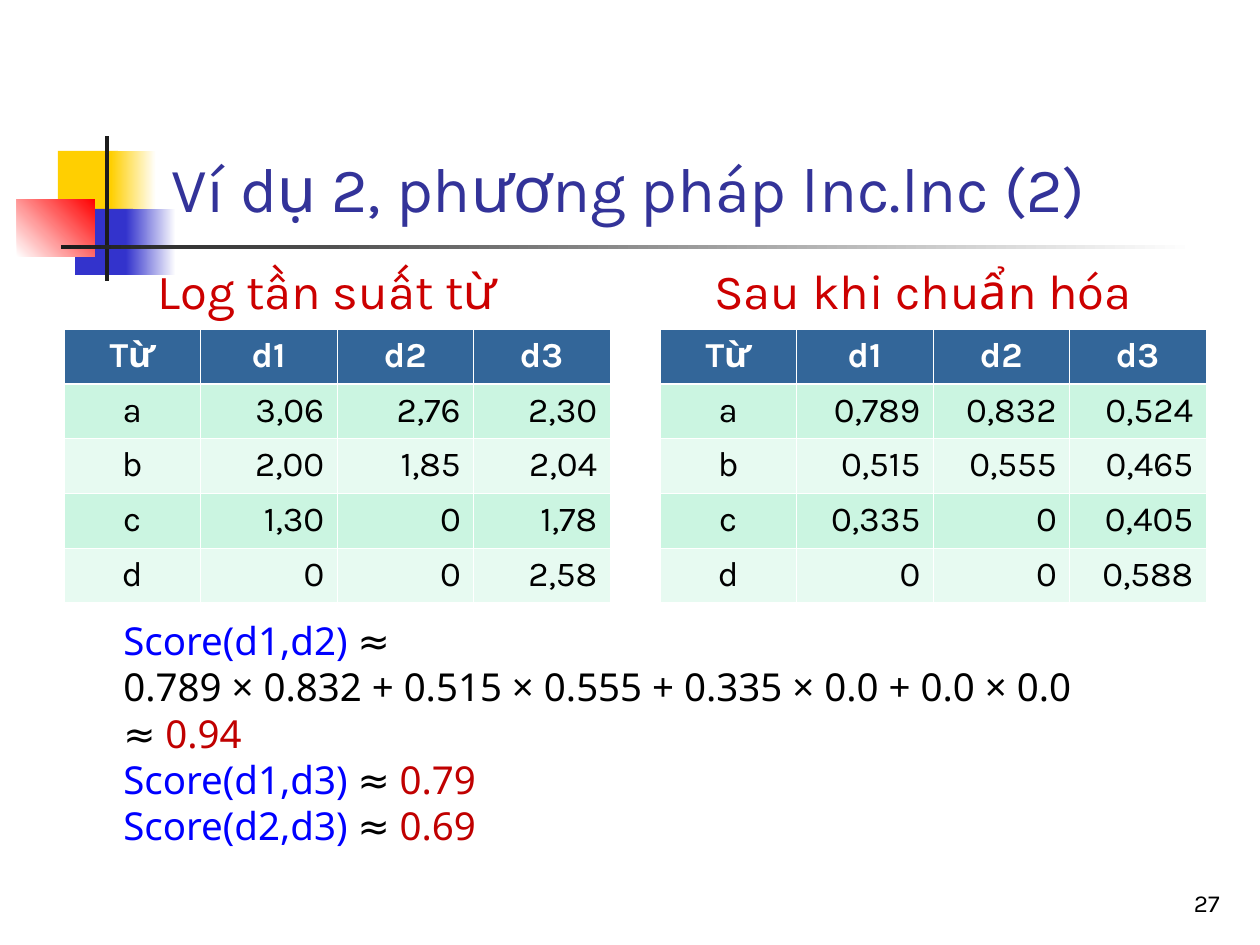
from dataclasses import dataclass

from lxml import etree
from pptx import Presentation
from pptx import util as u
from pptx.dml.color import RGBColor
from pptx.enum import shapes, text
from pptx.oxml.ns import qn

EMU_PER_PX = 914400 / 126
LEFT, CENTER, RIGHT = text.PP_ALIGN.LEFT, text.PP_ALIGN.CENTER, text.PP_ALIGN.RIGHT


@dataclass(frozen=True)
class Theme:
    font: str = "Karla"
    formula_font: str = "Noto Sans"
    title_size: int = 36
    caption_size: int = 28
    formula_size: int = 22
    cell_size: int = 20
    number_size: int = 14
    title: str = "333399"
    caption: str = "CC0000"
    ink: str = "000000"
    white: str = "FFFFFF"
    score: str = "0000FF"
    result: str = "C00000"
    header: str = "336699"
    bands: tuple = ("CBF5E1", "E7FAF1")
    yellow: str = "FFCF01"
    blue: str = "3333CC"
    red: str = "FF0000"
    bar: str = "1C1C1C"


THEME = Theme()


def px(length):
    return u.Emu(round(length * EMU_PER_PX))


def rgb(color):
    return RGBColor.from_string(color)


def write(paragraph, content, *, size, color=THEME.ink, font=THEME.font, bold=False,
          align=LEFT, before=None, spacing=None):
    """Append one formatted run to the paragraph."""
    paragraph.alignment = align
    paragraph.space_before = before
    paragraph.line_spacing = spacing
    run = paragraph.add_run()
    run.text = content
    run.font.size = u.Pt(size)
    run.font.name = font
    run.font.bold = bold
    run.font.color.rgb = rgb(color)


def add_text_frame(slide, box, anchor=text.MSO_ANCHOR.TOP, wrap=True):
    frame = slide.shapes.add_textbox(*map(px, box)).text_frame
    frame.word_wrap = wrap
    frame.vertical_anchor = anchor
    return frame


def add_block(slide, box, color, end_color=None, angle=0):
    """Draw a borderless rectangle, graded when an end colour is given."""
    shape = slide.shapes.add_shape(shapes.MSO_SHAPE.RECTANGLE, *map(px, box))
    shape.shadow.inherit = False
    shape.line.fill.background()
    if end_color is None:
        shape.fill.solid()
        shape.fill.fore_color.rgb = rgb(color)
        return
    shape.fill.gradient()
    shape.fill.gradient_angle = angle
    stops = shape.fill.gradient_stops
    for stop, position, stop_color in zip(stops, (0, 1), (color, end_color)):
        stop.position = position
        stop.color.rgb = rgb(stop_color)


def add_ornament(slide, left, top):
    def block(x, y, width, height, *colors, **options):
        add_block(slide, (left + x, top + y, width, height), *colors, **options)

    block(41, 15, 60, 66, THEME.yellow)
    block(94, 15, 45, 66, THEME.yellow, THEME.white)
    block(58, 73, 58, 66, THEME.blue)
    block(109, 73, 50, 66, THEME.blue, THEME.white)
    block(0, 63, 78, 58, THEME.white, THEME.red, angle=45)
    block(88, 0, 4, 145, THEME.bar)
    block(44, 109, 1134, 4, THEME.bar, THEME.white)


def add_title(slide, box, content):
    frame = add_text_frame(slide, box, text.MSO_ANCHOR.BOTTOM)
    write(frame.paragraphs[0], content, size=THEME.title_size, color=THEME.title)


def set_borders(cell, **widths):
    """Give the cell white borders, with widths in points by side."""
    properties = cell._tc.get_or_add_tcPr()
    for index, side in enumerate(("lnL", "lnR", "lnT", "lnB")):
        line = etree.Element(qn(f"a:{side}"), w=str(u.Pt(widths.get(side, 0.45))))
        fill = etree.SubElement(line, qn("a:solidFill"))
        etree.SubElement(fill, qn("a:srgbClr"), val=THEME.white)
        properties.insert(index, line)


def add_weight_table(slide, box, rows):
    left, top, width, height = box
    count = len(rows[0])
    table = slide.shapes.add_table(len(rows), count, *map(px, box)).table
    for column in table.columns:
        column.width = px(width / count)
    for row_index, values in enumerate(rows):
        table.rows[row_index].height = px(height / len(rows))
        is_header = row_index == 0
        for column_index, value in enumerate(values):
            cell = table.cell(row_index, column_index)
            cell.fill.solid()
            cell.fill.fore_color.rgb = rgb(
                THEME.header if is_header else THEME.bands[(row_index - 1) % 2])
            set_borders(cell, lnT=1.47 if row_index == 1 else 0.45,
                        lnB=1.47 if is_header else 0.45)
            write(cell.text_frame.paragraphs[0], value, size=THEME.cell_size,
                  color=THEME.white if is_header else THEME.ink, bold=is_header,
                  align=CENTER if is_header or column_index == 0 else RIGHT, spacing=0.98)


def add_weight_panel(slide, box, caption, rows):
    """Place a caption above its table of term weights."""
    left, top, width, height = box
    frame = add_text_frame(slide, (left, top, width - 20, 72))
    write(frame.paragraphs[0], caption, size=THEME.caption_size, color=THEME.caption,
          align=CENTER, before=u.Pt(14))
    add_weight_table(slide, (left, top + 75, width, height - 75), rows)


def add_scores(slide, box, lines):
    frame = add_text_frame(slide, box, wrap=False)
    for index, parts in enumerate(lines):
        paragraph = frame.add_paragraph() if index else frame.paragraphs[0]
        for content, color in parts:
            write(paragraph, content, size=THEME.formula_size, color=color,
                  font=THEME.formula_font)


def add_page_number(slide, box, number):
    frame = add_text_frame(slide, box, text.MSO_ANCHOR.BOTTOM)
    write(frame.paragraphs[0], number, size=THEME.number_size, align=RIGHT)


def main():
    presentation = Presentation()
    presentation.slide_width, presentation.slide_height = px(1260), px(945)
    slide = presentation.slides.add_slide(presentation.slide_layouts[6])

    header = ("Từ", "d1", "d2", "d3")
    log_weights = (header, ("a", "3,06", "2,76", "2,30"), ("b", "2,00", "1,85", "2,04"),
                   ("c", "1,30", "0", "1,78"), ("d", "0", "0", "2,58"))
    normalized = (header, ("a", "0,789", "0,832", "0,524"), ("b", "0,515", "0,555", "0,465"),
                  ("c", "0,335", "0", "0,405"), ("d", "0", "0", "0,588"))
    scores = (
        (("Score(d1,d2) ", THEME.score), ("≈", THEME.ink)),
        (("0.789 × 0.832 + 0.515 × 0.555 + 0.335 × 0.0 + 0.0 × 0.0", THEME.ink),),
        (("≈ ", THEME.ink), ("0.94", THEME.result)),
        (("Score(d1,d3)", THEME.score), (" ≈ ", THEME.ink), ("0.79", THEME.result)),
        (("Score(d2,d3) ", THEME.score), ("≈ ", THEME.ink), ("0.69", THEME.result)),
    )

    add_ornament(slide, 17, 136)
    add_title(slide, (159, 29, 1074, 202), "Ví dụ 2, phương pháp lnc.lnc (2)")
    add_weight_panel(slide, (64, 254, 546, 349), "Log tần suất từ", log_weights)
    add_weight_panel(slide, (660, 254, 546, 349), "Sau khi chuẩn hóa", normalized)
    add_scores(slide, (111, 611, 973, 243), scores)
    add_page_number(slide, (970, 861, 262, 63), "27")
    presentation.save("out.pptx")


if __name__ == "__main__":
    main()
